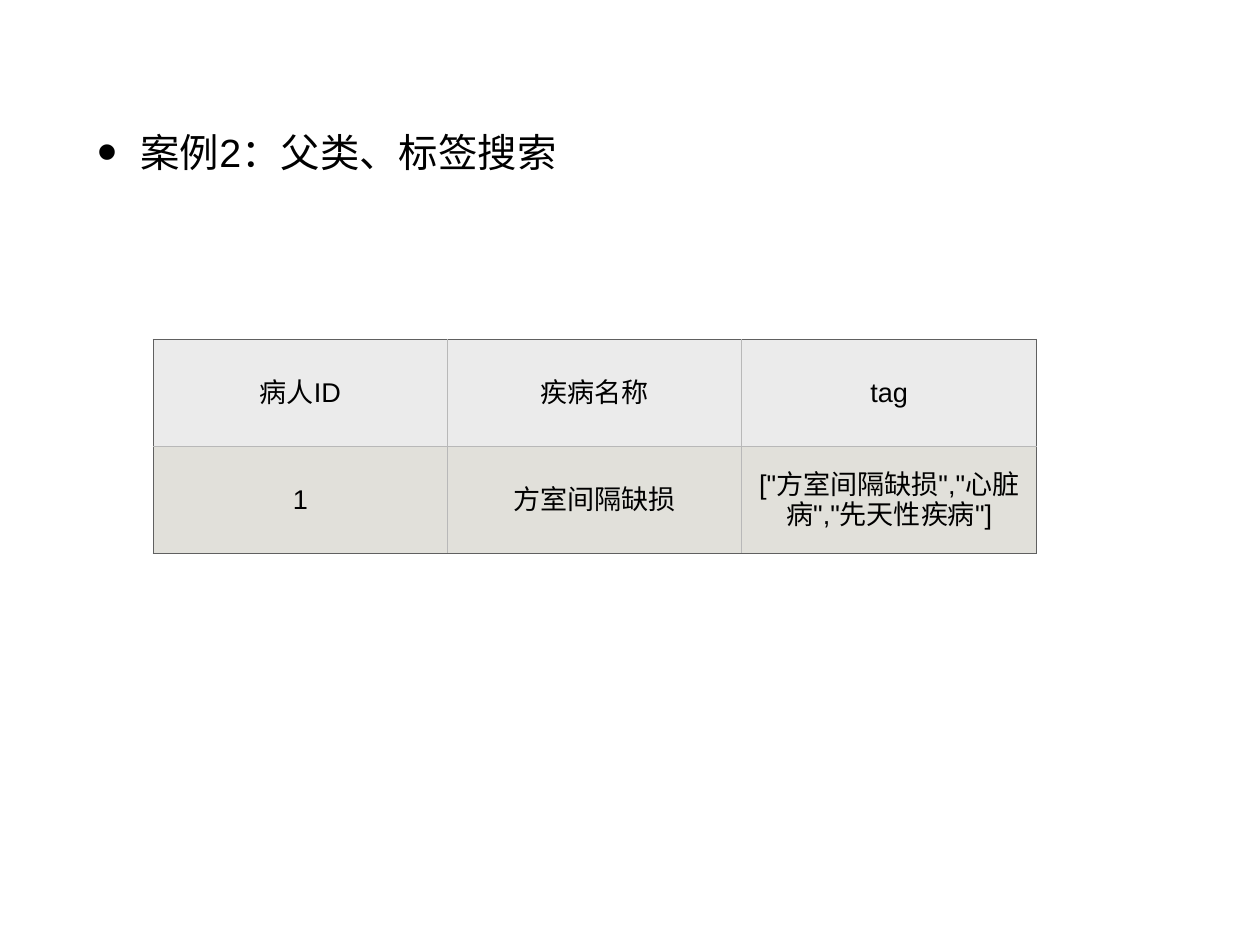
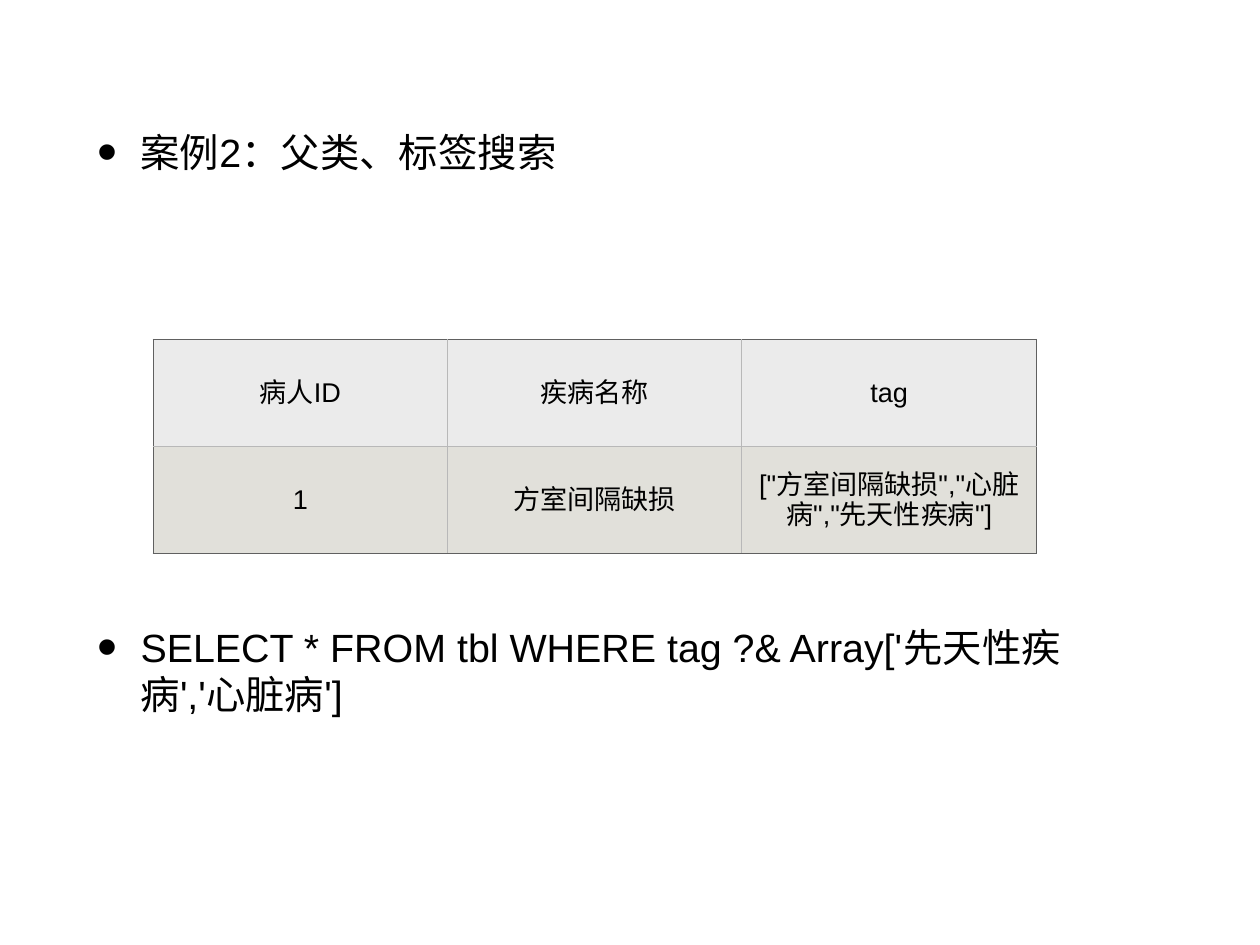
from collections import namedtuple
from dataclasses import dataclass

from lxml.etree import SubElement
from pptx import Presentation
from pptx.dml.color import RGBColor
from pptx.enum.text import MSO_ANCHOR as Anchor, MSO_AUTO_SIZE as AutoSize, PP_ALIGN as Align
from pptx.oxml.ns import qn
from pptx.util import Cm, Pt

Box = namedtuple("Box", "left top width height")


@dataclass(frozen=True)
class Theme:
    font: str = "Arial"
    ink: str = "000000"
    paper: str = "FFFFFF"
    header_fill: str = "EBEBEB"
    record_fill: str = "E1E0DA"
    outer_line: str = "606060"
    inner_line: str = "B8B8B8"
    bullet_size: int = 32
    cell_size: int = 22
    bullet_percent: int = 145
    line_width: int = 1
    inset: float = 0.15
    indent: float = 1.24


THEME = Theme()
PAGE = Box(0, 0, 36.12, 27.1)
BODY = Box(2.64, 3.53, 30.84, 20.04)
PATIENTS = Box(4.39, 9.73, 25.32, 6.14)

CASE = "案例2：父类、标签搜索"
QUERY = "SELECT * FROM tbl WHERE tag ?& Array['先天性疾病','心脏病']"
QUERY_GAP = 364
RECORDS = [
    ["病人ID", "疾病名称", "tag"],
    ["1", "方室间隔缺损", '["方室间隔缺损","心脏病","先天性疾病"]'],
]


def write(paragraph, text, size, color=THEME.ink, align=None, before=0):
    run = paragraph.add_run()
    run.text = text
    run.font.size = Pt(size)
    run.font.name = THEME.font
    run.font.color.rgb = RGBColor.from_string(color)
    SubElement(run._r.get_or_add_rPr(), qn("a:ea"), typeface=THEME.font)
    paragraph.alignment = align
    paragraph.space_before = Pt(before)


def set_insets(holder):
    for side in ("left", "right", "top", "bottom"):
        setattr(holder, f"margin_{side}", Cm(THEME.inset))


def add_bullet(paragraph):
    props = paragraph._p.get_or_add_pPr()
    props.set("marL", str(Cm(THEME.indent)))
    props.set("indent", str(-Cm(THEME.indent)))
    SubElement(props, qn("a:buSzPct"), val=str(THEME.bullet_percent * 1000))
    SubElement(props, qn("a:buChar"), char="•")


def fill_body(body, box, items):
    body.left, body.top, body.width, body.height = map(Cm, box)
    frame = body.text_frame
    frame.word_wrap = True
    frame.auto_size = AutoSize.NONE
    frame.vertical_anchor = Anchor.TOP
    set_insets(frame)
    for index, (text, before) in enumerate(items):
        paragraph = frame.add_paragraph() if index else frame.paragraphs[0]
        write(paragraph, text, THEME.bullet_size, before=before)
        add_bullet(paragraph)


def draw_borders(cell, outer_sides):
    props = cell._tc.get_or_add_tcPr()
    for side, is_outer in outer_sides.items():
        line = SubElement(props, qn(f"a:ln{side}"), w=str(Pt(THEME.line_width)))
        color = THEME.outer_line if is_outer else THEME.inner_line
        SubElement(SubElement(line, qn("a:solidFill")), qn("a:srgbClr"), val=color)


def add_records(slide, box, records):
    last_row, last_column = len(records) - 1, len(records[0]) - 1
    table = slide.shapes.add_table(last_row + 1, last_column + 1, *map(Cm, box)).table
    table.first_row = table.horz_banding = False
    for r, record in enumerate(records):
        for c, text in enumerate(record):
            cell = table.cell(r, c)
            draw_borders(cell, {"L": c == 0, "R": c == last_column,
                                "T": r == 0, "B": r == last_row})
            cell.fill.solid()
            cell.fill.fore_color.rgb = RGBColor.from_string(
                THEME.record_fill if r else THEME.header_fill)
            cell.vertical_anchor = Anchor.MIDDLE
            set_insets(cell)
            write(cell.text_frame.paragraphs[0], text, THEME.cell_size, align=Align.CENTER)


def add_case_slide(deck, items):
    slide = deck.slides.add_slide(deck.slide_layouts[1])
    title, body = slide.placeholders
    title.element.getparent().remove(title.element)
    fill_body(body, BODY, items)
    add_records(slide, PATIENTS, RECORDS)


def main():
    deck = Presentation()
    deck.slide_width, deck.slide_height = Cm(PAGE.width), Cm(PAGE.height)
    background = deck.slide_master.background.fill
    background.solid()
    background.fore_color.rgb = RGBColor.from_string(THEME.paper)
    case = (CASE, 0)
    add_case_slide(deck, [case])
    add_case_slide(deck, [case, (QUERY, QUERY_GAP)])
    deck.save("out.pptx")


if __name__ == "__main__":
    main()
